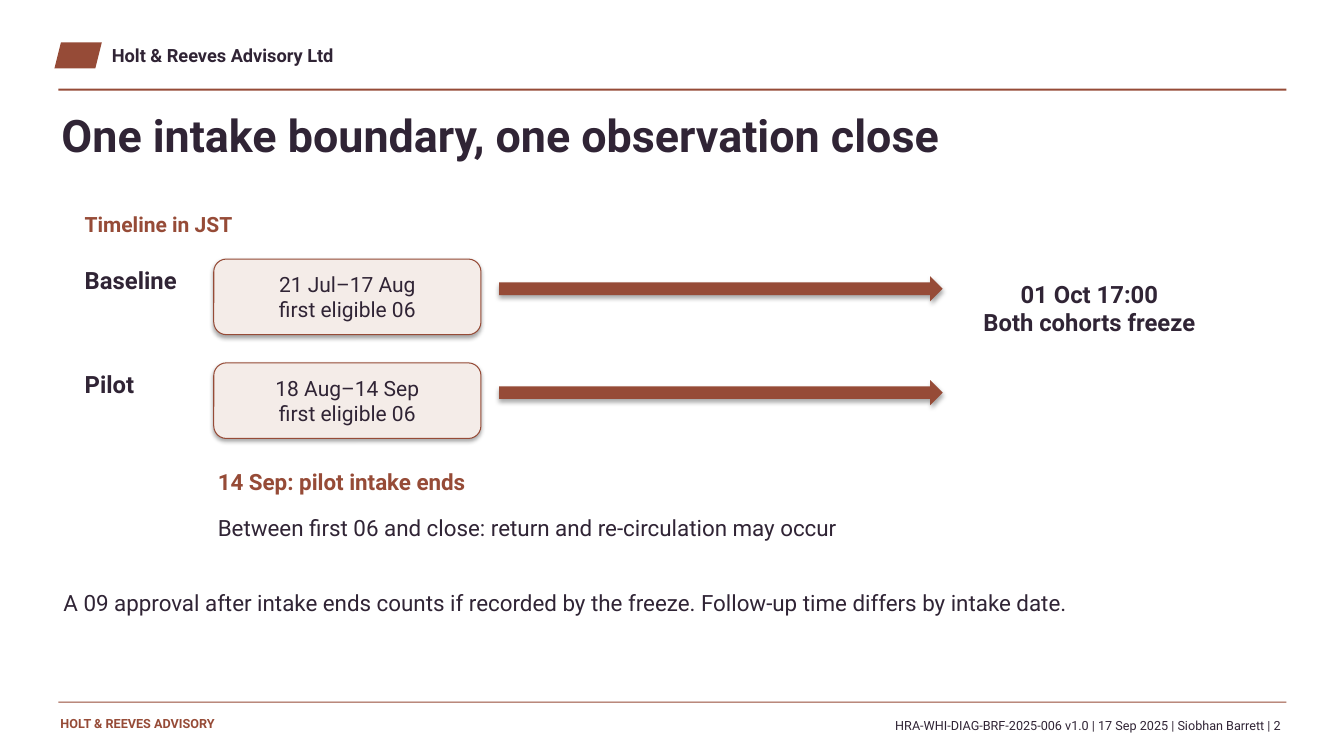
"""Build the cohort timeline slide with its header, footer and two intake rows."""
from dataclasses import dataclass

from lxml import etree
from pptx import Presentation
from pptx.dml.color import RGBColor
from pptx.enum.shapes import MSO_SHAPE
from pptx.enum.text import MSO_ANCHOR, MSO_AUTO_SIZE, PP_ALIGN
from pptx.oxml.ns import qn
from pptx.shapes.autoshape import Shape
from pptx.slide import Slide
from pptx.util import Emu, Pt

LEFT, CENTER, RIGHT = PP_ALIGN.LEFT, PP_ALIGN.CENTER, PP_ALIGN.RIGHT
TOP, MIDDLE = MSO_ANCHOR.TOP, MSO_ANCHOR.MIDDLE
RECTANGLE, ROUNDED = MSO_SHAPE.RECTANGLE, MSO_SHAPE.ROUNDED_RECTANGLE
ARROW, PARALLELOGRAM = MSO_SHAPE.RIGHT_ARROW, MSO_SHAPE.PARALLELOGRAM
NO_AUTOFIT = MSO_AUTO_SIZE.NONE

RUST = RGBColor(0x96, 0x4B, 0x37)
PLUM = RGBColor(0x30, 0x24, 0x35)
BLUSH = RGBColor(0xF4, 0xEC, 0xE8)
FONT = "Roboto"
EMU_PER_PX = 9144
TITLE_ONLY = 5
ROW_TOP, ROW_PITCH = 257, 103


@dataclass(frozen=True)
class Area:
    left: int
    top: int
    width: int
    height: int

    def emu(self) -> tuple[Emu, Emu, Emu, Emu]:
        """Return the area in EMU."""
        return px(self.left), px(self.top), px(self.width), px(self.height)


@dataclass(frozen=True)
class Style:
    size: int
    color: RGBColor = PLUM
    bold: bool = False
    align: PP_ALIGN = LEFT
    anchor: MSO_ANCHOR = TOP
    inset_x: int = 4
    inset_y: int = 2


@dataclass(frozen=True)
class Label:
    text: str
    area: Area
    style: Style


@dataclass(frozen=True)
class Cohort:
    name: str
    intake: str


TITLE = Label("One intake boundary, one observation close", Area(61, 107, 1200, 78),
              Style(32, bold=True, inset_x=0, inset_y=0))
COHORT_NAME = Style(17, bold=True)
INTAKE = Style(15, align=CENTER, anchor=MIDDLE, inset_x=10, inset_y=5)

LABELS = [
    Label("Holt & Reeves Advisory Ltd", Area(111, 44, 600, 27),
          Style(13, bold=True, inset_x=0, inset_y=0)),
    Label("HOLT & REEVES ADVISORY", Area(60, 710, 340, 25),
          Style(9, RUST, bold=True, inset_x=0, inset_y=0)),
    Label("A 09 approval after intake ends counts if recorded by the freeze. "
          "Follow-up time differs by intake date.", Area(63, 584, 1194, 80),
          Style(16, inset_x=0, inset_y=0)),
    Label("HRA-WHI-DIAG-BRF-2025-006 v1.0 | 17 Sep 2025 | Siobhan Barrett | 2",
          Area(412, 710, 862, 22), Style(9, align=RIGHT)),
    Label("Timeline in JST", Area(80, 208, 1150, 30), Style(15, RUST, bold=True)),
    Label("01 Oct 17:00\vBoth cohorts freeze", Area(948, 275, 265, 85),
          Style(17, bold=True, align=CENTER)),
    Label("14 Sep: pilot intake ends", Area(212, 462, 430, 45),
          Style(16, RUST, bold=True)),
    Label("Between first 06 and close: return and re-circulation may occur",
          Area(212, 508, 950, 48), Style(16)),
]
COHORTS = [
    Cohort("Baseline", "21 Jul–17 Aug\nfirst eligible 06"),
    Cohort("Pilot", "18 Aug–14 Sep\nfirst eligible 06"),
]
RULES = [Area(58, 88, 1218, 2), Area(58, 696, 1218, 1)]


def px(length: int) -> Emu:
    """Convert px to EMU."""
    return Emu(length * EMU_PER_PX)


def write_text(box: Shape, text: str, style: Style) -> None:
    """Fill a shape with styled text."""
    frame = box.text_frame
    frame.text = text
    frame.word_wrap = True
    frame.auto_size = NO_AUTOFIT
    frame.vertical_anchor = style.anchor
    frame.margin_left = frame.margin_right = px(style.inset_x)
    frame.margin_top = frame.margin_bottom = px(style.inset_y)
    for para in frame.paragraphs:
        para.alignment = style.align
        for span in para.runs:
            span.font.name = FONT
            span.font.size = Pt(style.size)
            span.font.bold = style.bold
            span.font.color.rgb = style.color


def add_label(page: Slide, label: Label) -> None:
    """Add a text box."""
    write_text(page.shapes.add_textbox(*label.area.emu()), label.text, label.style)


def add_block(page: Slide, kind: MSO_SHAPE, area: Area, fill: RGBColor) -> Shape:
    """Add a flat filled shape."""
    block = page.shapes.add_shape(kind, *area.emu())
    block.shadow.inherit = False
    block.fill.solid()
    block.fill.fore_color.rgb = fill
    block.line.fill.background()
    return block


def add_shadow(block: Shape) -> None:
    """Put a soft shadow below a shape."""
    effects = block.element.spPr.find(qn("a:effectLst"))
    shadow = etree.SubElement(effects, qn("a:outerShdw"), blurRad="40000",
                              dist="23000", dir="5400000", rotWithShape="0")
    black = etree.SubElement(shadow, qn("a:srgbClr"), val="000000")
    etree.SubElement(black, qn("a:alpha"), val="35000")


def add_cohort(page: Slide, cohort: Cohort, top: int) -> None:
    """Add one row: name, intake window and arrow to the freeze."""
    add_label(page, Label(cohort.name, Area(80, top + 5, 125, 35), COHORT_NAME))
    window = add_block(page, ROUNDED, Area(212, top, 265, 75), BLUSH)
    window.line.color.rgb = RUST
    window.line.width = Pt(0.75)
    write_text(window, cohort.intake, INTAKE)
    arrow = add_block(page, ARROW, Area(495, top + 17, 440, 25), RUST)
    for block in (window, arrow):
        add_shadow(block)


def main() -> None:
    """Build and save the deck."""
    deck = Presentation()
    deck.slide_width, deck.slide_height = px(1333), px(750)
    page = deck.slides.add_slide(deck.slide_layouts[TITLE_ONLY])
    title = page.shapes.title
    title.left, title.top, title.width, title.height = TITLE.area.emu()
    write_text(title, TITLE.text, TITLE.style)
    add_block(page, PARALLELOGRAM, Area(54, 42, 47, 26), RUST)
    for rule in RULES:
        add_block(page, RECTANGLE, rule, RUST)
    for index, cohort in enumerate(COHORTS):
        add_cohort(page, cohort, ROW_TOP + index * ROW_PITCH)
    for label in LABELS:
        add_label(page, label)
    deck.save("out.pptx")


if __name__ == "__main__":
    main()
